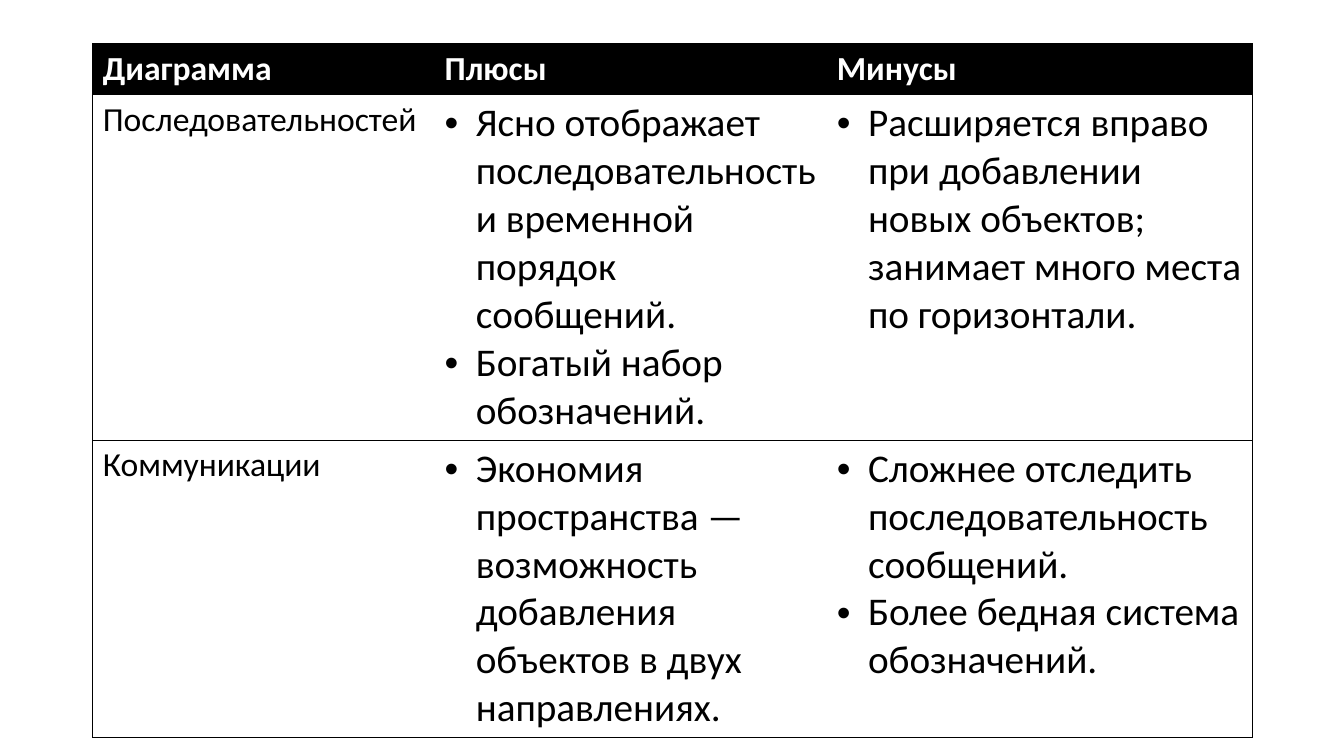
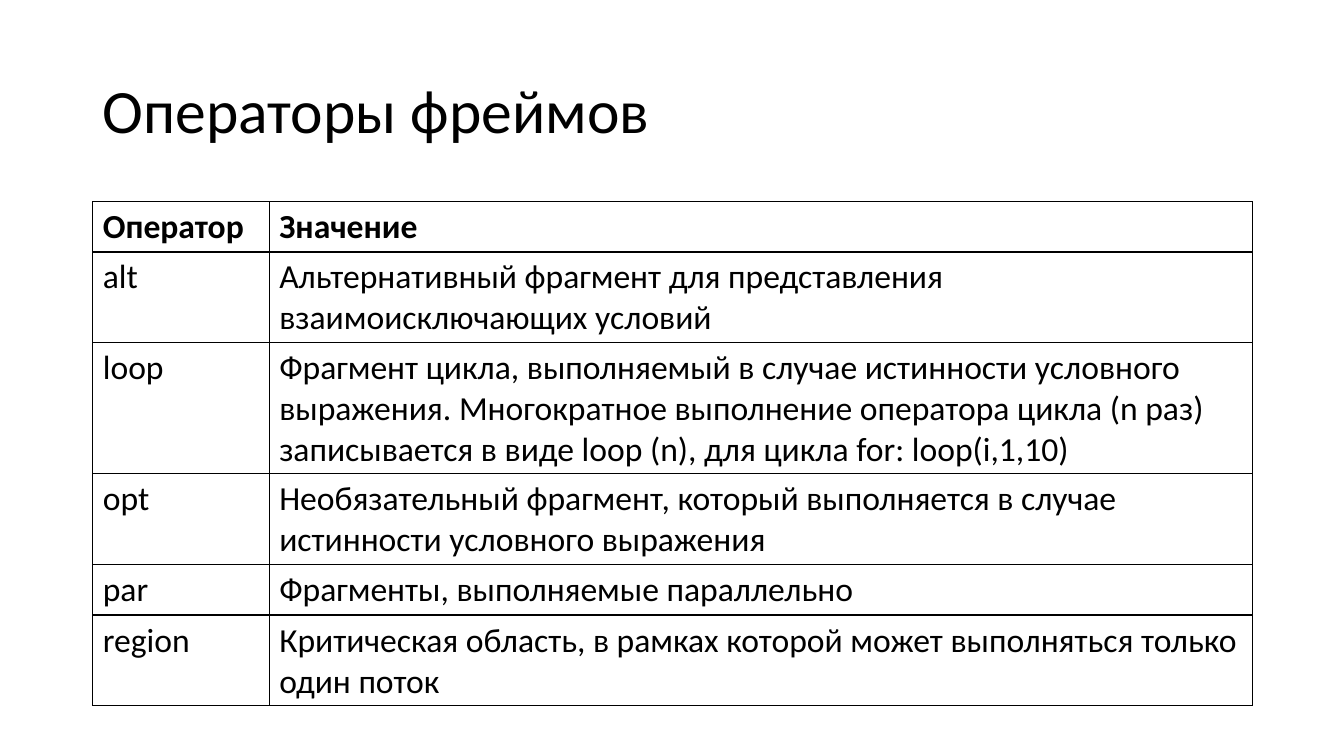
from lxml import etree
from pptx import Presentation
from pptx import util as u
from pptx.dml.color import RGBColor
from pptx.enum import text
from pptx.oxml import ns

BLACK, WHITE = "000000", "FFFFFF"


def color(value):
    return RGBColor.from_string(value)


class Slides:
    """Holds the shared style and the current slide, and draws its elements."""

    font = "Calibri"
    left, width = 0.92, 11.5
    title_size, body_size, list_size = 44, 24, 28
    row_height, indent = 0.41, 0.31

    def __init__(self):
        self.deck = Presentation()
        self.deck.slide_width = u.Inches(13.33)
        self.deck.slide_height = u.Inches(7.5)
        self.page = None

    def new_page(self):
        self.page = self.deck.slides.add_slide(self.deck.slide_layouts[6])

    def style(self, para, size, ink=BLACK, bold=False):
        para.font.name = self.font
        para.font.size = u.Pt(size)
        para.font.bold = bold
        para.font.color.rgb = color(ink)

    def title(self, words):
        box = self.page.shapes.add_textbox(
            u.Inches(self.left), u.Inches(0.4), u.Inches(self.width), u.Inches(1.45))
        frame = box.text_frame
        frame.word_wrap = True
        frame.vertical_anchor = text.MSO_ANCHOR.MIDDLE
        para = frame.paragraphs[0]
        para.text = words
        para.line_spacing = 0.9
        self.style(para, self.title_size)

    def bullet(self, para):
        props = para._p.get_or_add_pPr()
        props.set("marL", str(u.Inches(self.indent)))
        props.set("indent", str(-u.Inches(self.indent)))
        etree.SubElement(props, ns.qn("a:buFont"), typeface="Arial")
        etree.SubElement(props, ns.qn("a:buChar"), char="•")

    def borders(self, cell, sides, points):
        props = cell._tc.get_or_add_tcPr()
        for side in "LRTB":
            line = etree.SubElement(props, ns.qn(f"a:ln{side}"), w=str(u.Pt(points)))
            if side in sides:
                fill = etree.SubElement(line, ns.qn("a:solidFill"))
                etree.SubElement(fill, ns.qn("a:srgbClr"), val=BLACK)
            else:
                etree.SubElement(line, ns.qn("a:noFill"))

    def fill_cell(self, cell, content, header, dark):
        is_list = isinstance(content, list)
        lines = content if is_list else [content]
        cell.text = "\n".join(lines)
        for para in cell.text_frame.paragraphs:
            if is_list:
                self.bullet(para)
            self.style(para, self.list_size if is_list else self.body_size,
                       WHITE if dark else BLACK, header)
        cell.fill.solid()
        cell.fill.fore_color.rgb = color(BLACK if dark else WHITE)

    def table(self, top, height, columns, rows, points, dark_header=False, inner_columns=True):
        frame = self.page.shapes.add_table(
            len(rows), len(columns), u.Inches(self.left), u.Inches(top),
            u.Inches(self.width), u.Inches(height))
        grid = frame.table
        grid.first_row = dark_header
        grid.horz_banding = False
        for column, size in zip(grid.columns, columns):
            column.width = u.Inches(size)
        last = len(columns) - 1
        for r, row in enumerate(rows):
            grid.rows[r].height = u.Inches(self.row_height)
            for c, content in enumerate(row):
                sides = "TB"
                if inner_columns or c == 0:
                    sides += "L"
                if inner_columns or c == last:
                    sides += "R"
                cell = grid.cell(r, c)
                self.borders(cell, sides, points)
                self.fill_cell(cell, content, r == 0, dark_header and r == 0)
        frame.height = u.Inches(height)


COMPARISON = [
    ("Диаграмма", "Плюсы", "Минусы"),
    ("Последовательностей",
     ["Ясно отображает последовательность и временной порядок сообщений.",
      "Богатый набор обозначений."],
     ["Расширяется вправо при добавлении новых объектов; "
      "занимает много места по горизонтали."]),
    ("Коммуникации",
     ["Экономия пространства — возможность добавления объектов в двух направлениях."],
     ["Сложнее отследить последовательность сообщений.",
      "Более бедная система обозначений."]),
]

OPERATORS = [
    ("Оператор", "Значение"),
    ("alt", "Альтернативный фрагмент для представления взаимоисключающих условий"),
    ("loop", "Фрагмент цикла, выполняемый в случае истинности условного выражения. "
             "Многократное выполнение оператора цикла (n раз) записывается в виде "
             "loop (n), для цикла for: loop(i,1,10)"),
    ("opt", "Необязательный фрагмент, который выполняется в случае "
            "истинности условного выражения"),
    ("par", "Фрагменты, выполняемые параллельно"),
    ("region", "Критическая область, в рамках которой может выполняться только один поток"),
]


def main():
    slides = Slides()
    slides.new_page()
    slides.table(0.43, 6.77, (3.39, 3.89, 4.22), COMPARISON, 0.5,
                 dark_header=True, inner_columns=False)
    slides.new_page()
    slides.title("Операторы фреймов")
    slides.table(2, 5, (1.75, 9.75), OPERATORS, 1)
    slides.deck.save("out.pptx")


if __name__ == "__main__":
    main()
